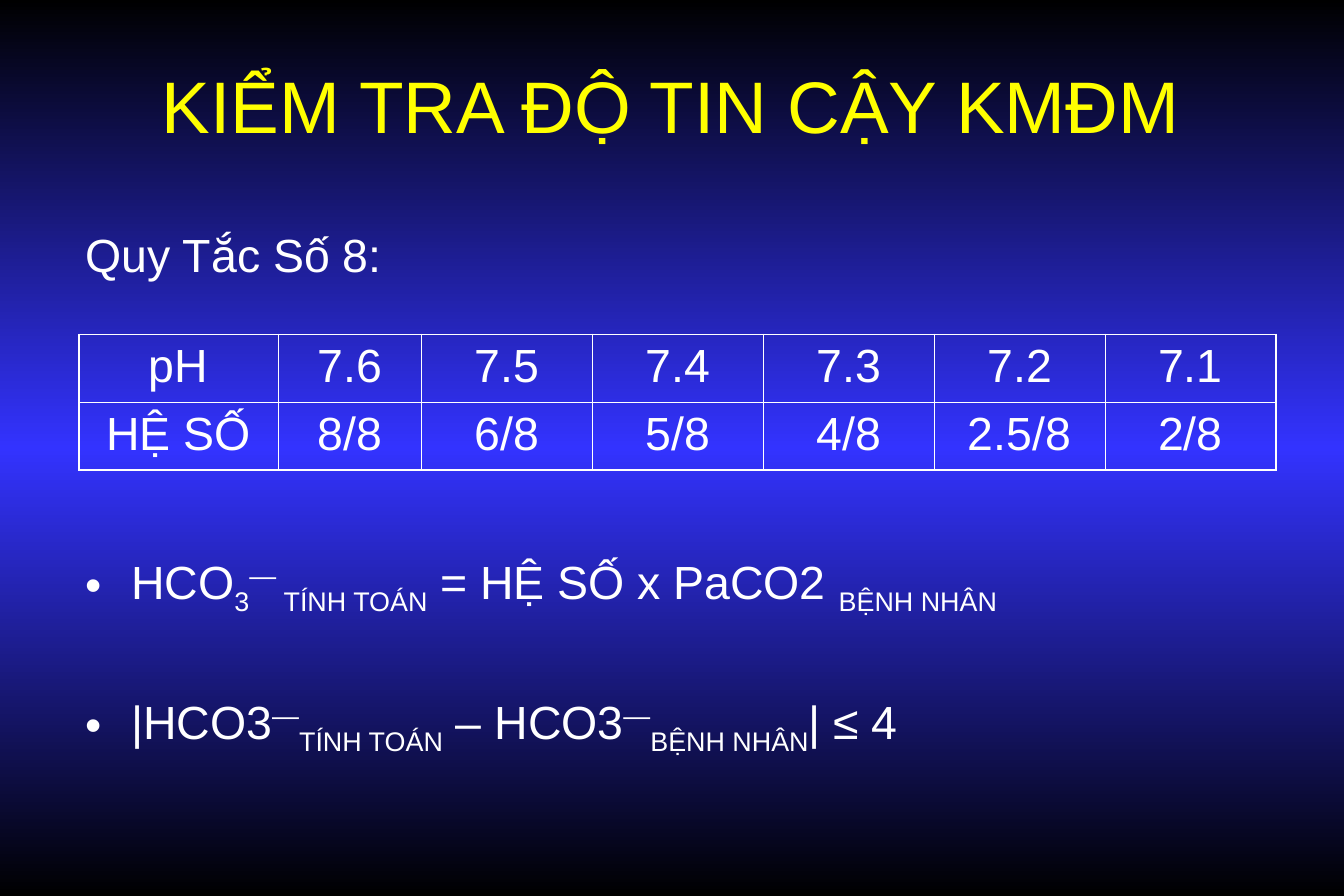
from copy import deepcopy

from lxml import etree
from pptx import Presentation
from pptx.dml.color import RGBColor
from pptx.enum import text
from pptx.oxml import ns
from pptx.util import Inches, Pt

BLACK = RGBColor(0x00, 0x00, 0x00)
BLUE = RGBColor(0x33, 0x33, 0xFF)
YELLOW = RGBColor(0xFF, 0xFF, 0x00)
WHITE = RGBColor(0xFF, 0xFF, 0xFF)

TITLE_FONT = dict(name="Arial", size=Pt(44))
BODY_FONT = dict(name="Arial", size=Pt(28))
OUTER, INNER = Pt(1.08), Pt(0.45)
SUB, SUP = -25, 30

HEADING = "Quy Tắc Số 8:"
FACTORS = [
    ["pH", "7.6", "7.5", "7.4", "7.3", "7.2", "7.1"],
    ["HỆ SỐ", "8/8", "6/8", "5/8", "4/8", "2.5/8", "2/8"],
]
COL_WIDTHS = [1.67, 1.2] + [1.43] * 5
# Each formula: space before in points, then (text, baseline shift) runs
FORMULAS = [
    (163.8, [("HCO", 0), ("3", SUB), ("— ", SUP), ("TÍNH TOÁN", SUB),
             (" = HỆ SỐ x PaCO2 ", 0), ("BỆNH NHÂN", SUB)]),
    (46.2, [("|HCO3", 0), ("—", SUP), ("TÍNH TOÁN", SUB), (" – HCO3", 0),
            ("—", SUP), ("BỆNH NHÂN", SUB), ("| ≤ 4", 0)]),
]


def sub_element(parent, tag, **attrs):
    el = etree.SubElement(parent, ns.qn(tag))
    for key, value in attrs.items():
        el.set(key, str(value))
    return el


def add_run(p, words, font, color, baseline=0):
    r = p.add_run()
    r.text = words
    for key, value in font.items():
        setattr(r.font, key, value)
    r.font.color.rgb = color
    if baseline:
        r.font._element.set("baseline", str(baseline * 1000))


def add_text_frame(slide, box, anchor):
    tf = slide.shapes.add_textbox(*map(Inches, box)).text_frame
    tf.word_wrap = True
    tf.vertical_anchor = anchor
    return tf


def set_background(slide):
    fill = slide.background.fill
    fill.gradient()
    fill.gradient_angle = 90
    stops = slide.element.find(".//" + ns.qn("a:gsLst"))
    stops.insert(1, deepcopy(stops[0]))
    for stop, position, color in zip(fill.gradient_stops, (0, 0.5, 1), (BLACK, BLUE, BLACK)):
        stop.position = position
        stop.color.rgb = color


def add_title(slide, box):
    p = add_text_frame(slide, box, text.MSO_ANCHOR.MIDDLE).paragraphs[0]
    p.alignment = text.PP_ALIGN.CENTER
    add_run(p, "KIỂM TRA ĐỘ TIN CẬY KMĐM", TITLE_FONT, YELLOW)


def add_rule(slide, box):
    """Heading above the table and the bulleted formulas below it."""
    tf = add_text_frame(slide, box, text.MSO_ANCHOR.TOP)
    add_run(tf.paragraphs[0], HEADING, BODY_FONT, WHITE)
    for space, runs in FORMULAS:
        p = tf.add_paragraph()
        p.space_before = Pt(space)
        pPr = p._p.get_or_add_pPr()
        pPr.set("marL", str(Inches(0.38)))
        pPr.set("indent", str(-Inches(0.38)))
        sub_element(sub_element(pPr, "a:buClr"), "a:srgbClr", val=WHITE)
        sub_element(pPr, "a:buFont", typeface="Arial")
        sub_element(pPr, "a:buChar", char="•")
        for words, baseline in runs:
            add_run(p, words, BODY_FONT, WHITE, baseline)


def set_borders(cell, widths):
    """Draw white borders; the fill must come after them in the cell."""
    tcPr = cell._tc.get_or_add_tcPr()
    for side, width in widths.items():
        ln = sub_element(tcPr, f"a:ln{side}", w=width)
        sub_element(sub_element(ln, "a:solidFill"), "a:srgbClr", val=WHITE)
    cell.fill.background()


def add_factor_table(slide, box):
    n_rows, n_cols = len(FACTORS), len(COL_WIDTHS)
    table = slide.shapes.add_table(n_rows, n_cols, *map(Inches, box)).table
    table.first_row = table.horz_banding = False
    for column, width in zip(table.columns, COL_WIDTHS):
        column.width = Inches(width)
    for i, row in enumerate(FACTORS):
        for j, words in enumerate(row):
            cell = table.cell(i, j)
            cell.margin_left = cell.margin_right = Inches(0.11)
            p = cell.text_frame.paragraphs[0]
            p.alignment = text.PP_ALIGN.CENTER
            add_run(p, words, BODY_FONT, WHITE)
            set_borders(cell, {
                "L": INNER if j else OUTER,
                "R": INNER if j < n_cols - 1 else OUTER,
                "T": INNER if i else OUTER,
                "B": INNER if i < n_rows - 1 else OUTER,
            })


def main():
    prs = Presentation()
    prs.slide_width, prs.slide_height = Inches(11.25), Inches(7.5)
    slide = prs.slides.add_slide(prs.slide_layouts[6])
    set_background(slide)
    add_title(slide, (0.56, 0.25, 10.12, 1.25))
    add_rule(slide, (0.62, 1.84, 10.01, 4.85))
    add_factor_table(slide, (0.66, 2.8, 10.02, 1.13))
    prs.save("out.pptx")


if __name__ == "__main__":
    main()
